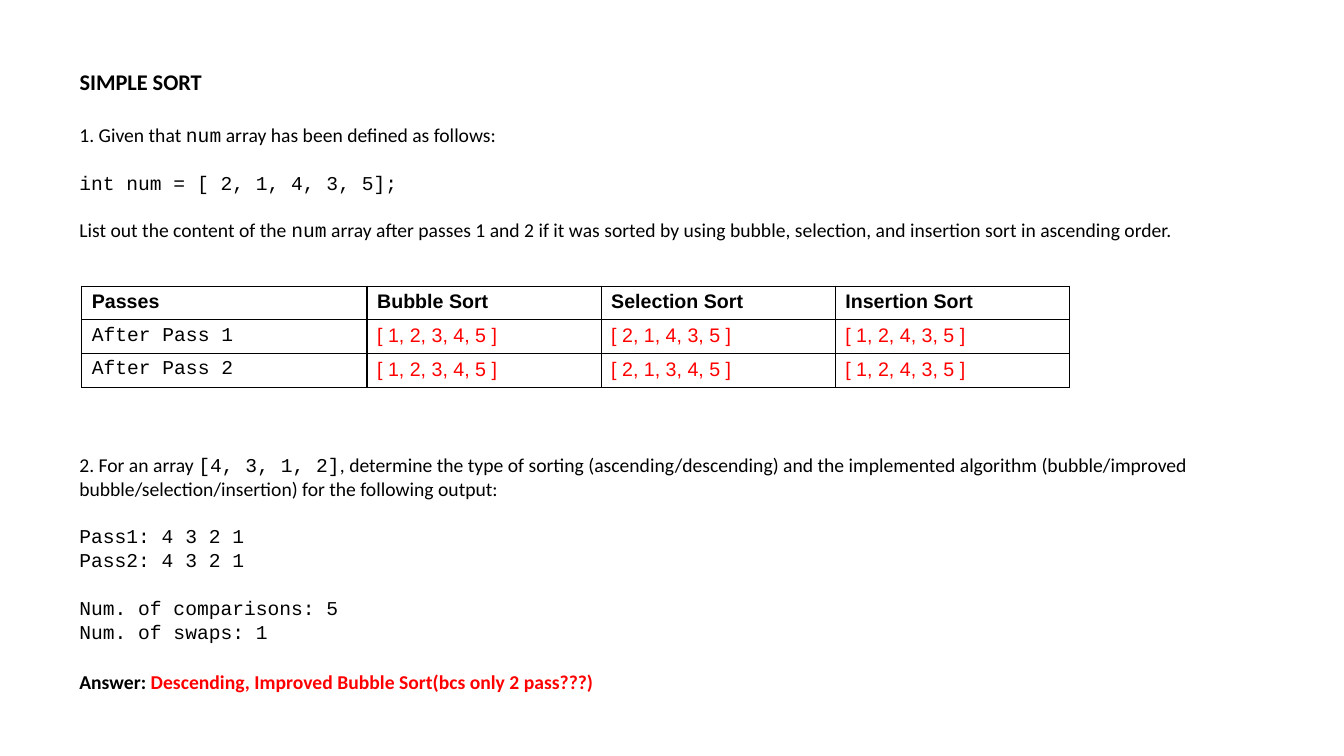
import pptx
import pptx.dml.color
import pptx.enum.text
import pptx.oxml
import pptx.oxml.ns
import pptx.util

Cm = pptx.util.Cm
Pt = pptx.util.Pt

SANS, CODE, GRID = "Calibri", "Courier New", "Arial"
BLACK, RED = "000000", "FF0000"
LEFT, WIDE = 1.75, 28.83
LINE = 17

HEAD = ["Passes", "Bubble Sort", "Selection Sort", "Insertion Sort"]
ROWS = [
    ["After Pass 1", "[ 1, 2, 3, 4, 5 ]", "[ 2, 1, 4, 3, 5 ]", "[ 1, 2, 4, 3, 5 ]"],
    ["After Pass 2", "[ 1, 2, 3, 4, 5 ]", "[ 2, 1, 3, 4, 5 ]", "[ 1, 2, 4, 3, 5 ]"],
]

FIRST = [
    (0, SANS, ["1. Given that ", "num", " array has been defined as follows:"]),
    (LINE, CODE, ["int num = [ 2, 1, 4, 3, 5];"]),
    (LINE, SANS, [
        "List out the content of the ", "num",
        " array after passes 1 and 2 if it was sorted by using bubble, "
        "selection, and insertion sort in ascending order."]),
]
SECOND = [
    (0, SANS, [
        "2. For an array ", "[4, 3, 1, 2]",
        ", determine the type of sorting (ascending/descending) and the "
        "implemented algorithm (bubble/improved bubble/selection/insertion) "
        "for the following output:"]),
    (LINE, CODE, ["Pass1: 4 3 2 1"]),
    (0, CODE, ["Pass2: 4 3 2 1"]),
    (LINE, CODE, ["Num. of comparisons: 5"]),
    (0, CODE, ["Num. of swaps: 1"]),
]


def paint(font, hue):
    font.color.rgb = pptx.dml.color.RGBColor.from_string(hue)


def style(font, face, size=14, hue=BLACK, bold=False):
    font.name = face
    font.size = Pt(size)
    font.bold = bold
    paint(font, hue)


def place(shape, top, height):
    shape.left, shape.top = Cm(LEFT), Cm(top)
    shape.width, shape.height = Cm(WIDE), Cm(height)
    frame = shape.text_frame
    frame.word_wrap = True
    frame.auto_size = pptx.enum.text.MSO_AUTO_SIZE.NONE
    frame.vertical_anchor = pptx.enum.text.MSO_ANCHOR.TOP
    return frame


def add_title(slide, text):
    frame = place(slide.shapes.title, 1.6, 0.95)
    frame.text = text
    para = frame.paragraphs[0]
    para.alignment = pptx.enum.text.PP_ALIGN.LEFT
    style(para.font, SANS, 16, bold=True)


def next_para(frame, gap):
    para = frame.paragraphs[0]
    if para.runs:
        para = frame.add_paragraph()
    para.line_spacing = Pt(LINE)
    para.space_before = Pt(gap)
    return para


def add_prose(slide, top, height, lines):
    box = slide.shapes.add_textbox(Cm(LEFT), Cm(top), Cm(WIDE), Cm(height))
    frame = place(box, top, height)
    for gap, face, parts in lines:
        para = next_para(frame, gap)
        style(para.font, face)
        for spot, part in enumerate(parts):
            run = para.add_run()
            run.text = part
            if len(parts) > 1:
                run.font.name = CODE if spot % 2 else face
    return frame


def add_answer(frame, label, reply):
    para = next_para(frame, 19)
    style(para.font, SANS, bold=True)
    for text, hue in ((label, BLACK), (reply, RED)):
        run = para.add_run()
        run.text = text
        paint(run.font, hue)


def add_edges(cell):
    props = cell._tc.get_or_add_tcPr()
    for side in "LRTB":
        props.append(pptx.oxml.parse_xml(
            f'<a:ln{side} {pptx.oxml.ns.nsdecls("a")} w="12700"><a:solidFill>'
            f'<a:srgbClr val="{BLACK}"/></a:solidFill></a:ln{side}>'))


def add_grid(slide):
    data = [HEAD] + ROWS
    widths = [7.19] + [5.9] * 3
    high = 0.85
    table = slide.shapes.add_table(
        len(data), len(HEAD), Cm(2.06), Cm(7.21),
        Cm(sum(widths)), Cm(high * len(data))).table
    table.first_row = table.horz_banding = False
    for col, width in zip(table.columns, widths):
        col.width = Cm(width)
    for y, row in enumerate(data):
        table.rows[y].height = Cm(high)
        for x, text in enumerate(row):
            cell = table.cell(y, x)
            cell.text = text
            add_edges(cell)
            cell.fill.background()
            face = CODE if y and not x else GRID
            hue = RED if y and x else BLACK
            style(cell.text_frame.paragraphs[0].font, face, hue=hue, bold=not y)


def main():
    deck = pptx.Presentation()
    deck.slide_width, deck.slide_height = Cm(33.87), Cm(19.05)
    slide = deck.slides.add_slide(deck.slide_layouts[5])
    add_title(slide, "SIMPLE SORT")
    add_prose(slide, 2.97, 3.4, FIRST)
    add_grid(slide)
    frame = add_prose(slide, 11.28, 6.4, SECOND)
    add_answer(frame, "Answer: ",
               "Descending, Improved Bubble Sort(bcs only 2 pass???)")
    deck.save("out.pptx")


if __name__ == "__main__":
    main()
